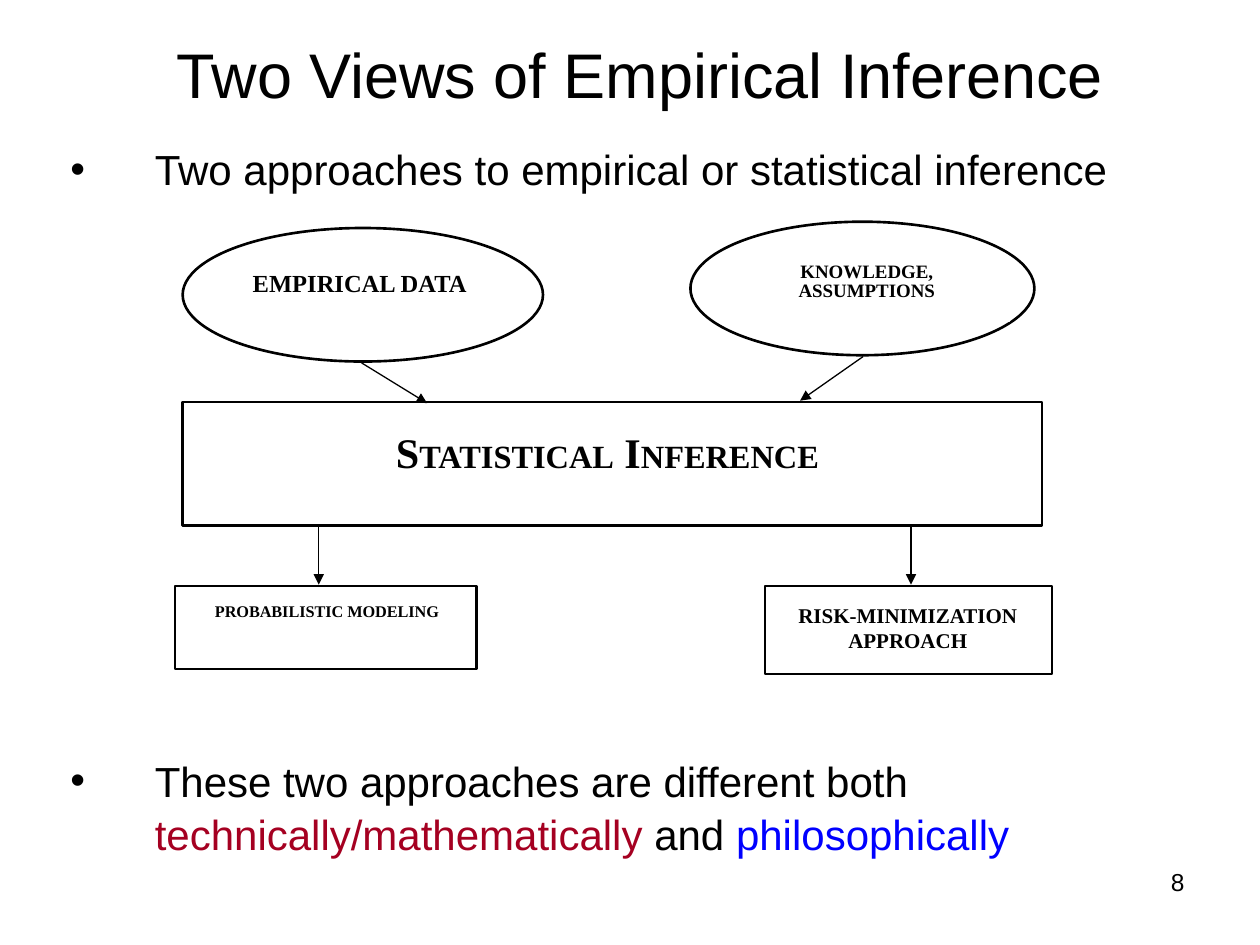
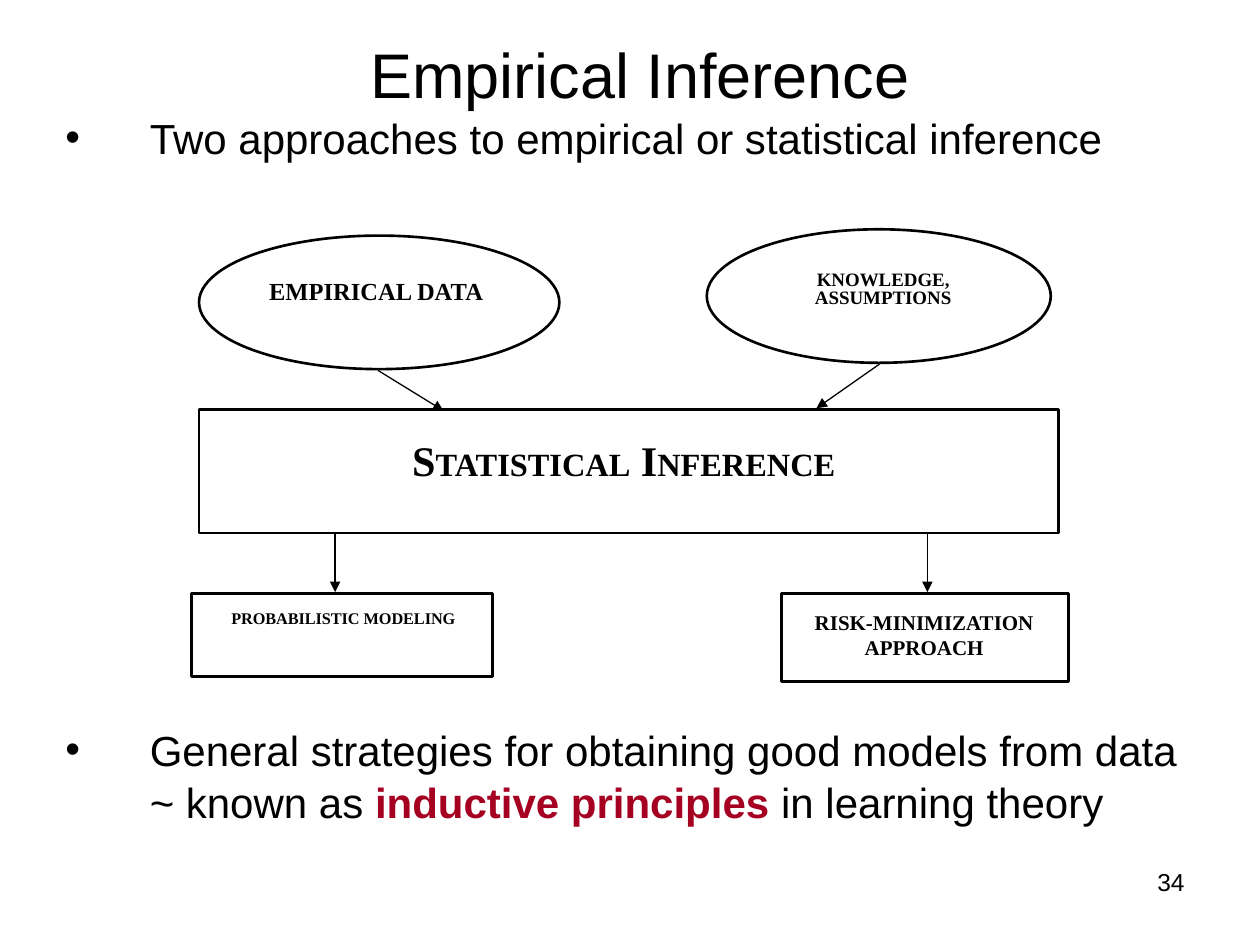
from lxml import etree
from pptx import Presentation
from pptx.dml.color import RGBColor
from pptx.enum.shapes import MSO_CONNECTOR as CONN, MSO_SHAPE as SHAPE
from pptx.enum.text import MSO_ANCHOR as ANCHOR, PP_ALIGN as ALIGN
from pptx.oxml.ns import qn
from pptx.util import Inches, Pt

BLACK, WHITE, RED, BLUE = "000000", "FFFFFF", "A50021", "0000FF"
SANS, SERIF = "Arial", "Times New Roman"
INDENT = 0.67
SECOND_BULLET_GAP = 326.5

NODES = [
    (SHAPE.OVAL, 1.45, 1.81, 2.86, 1.06),
    (SHAPE.OVAL, 5.48, 1.76, 2.73, 1.06),
    (SHAPE.RECTANGLE, 1.45, 3.19, 6.82, 0.98),
    (SHAPE.RECTANGLE, 1.39, 4.65, 2.39, 0.66),
    (SHAPE.RECTANGLE, 6.07, 4.65, 2.28, 0.7),
]
ARROWS = [
    (2.53, 4.17, 2.53, 4.64),
    (7.23, 4.17, 7.23, 4.64),
    (2.87, 2.88, 3.39, 3.2),
    (6.85, 2.83, 6.35, 3.18),
]
LABELS = [
    ((2.03, 3.38, 5.58, 0.52), 0.9,
     [[("S", 24.1), ("TATISTICAL", 18.5), (" I", 24.1), ("NFERENCE", 18.5)]]),
    ((1.83, 2.08, 2.05, 0.5), 1.0, [[("EMPIRICAL DATA", 14)]]),
    ((5.75, 2.05, 2.26, 0.5), 0.8, [[("KNOWLEDGE,", 10.8)], [("ASSUMPTIONS", 10.8)]]),
    ((1.54, 4.75, 2.11, 0.4), 0.8, [[("PROBABILISTIC MODELING", 9.3)]]),
    ((6.14, 4.73, 2.13, 0.53), 1.0, [[("RISK-MINIMIZATION APPROACH", 12)]]),
]


def rgb(value):
    return RGBColor.from_string(value)


def add_run(p, text, size, font=SANS, color=BLACK, bold=False):
    r = p.add_run()
    r.text = text
    r.font.size = Pt(size)
    r.font.name = font
    r.font.bold = bold
    r.font.color.rgb = rgb(color)


def add_textbox(s, x, y, w, h, anchor=ANCHOR.TOP):
    tf = s.shapes.add_textbox(Inches(x), Inches(y), Inches(w), Inches(h)).text_frame
    tf.word_wrap = True
    tf.vertical_anchor = anchor
    return tf


def add_title(s, text):
    p = add_textbox(s, 0.58, 0.25, 9, 0.67, ANCHOR.MIDDLE).paragraphs[0]
    p.alignment = ALIGN.CENTER
    add_run(p, text, 36)


def add_page_number(s, number):
    p = add_textbox(s, 7.17, 6.83, 2.33, 0.52).paragraphs[0]
    p.alignment = ALIGN.RIGHT
    add_run(p, str(number), 14)


def format_body(p, space_before, bullet):
    p.line_spacing = 0.8
    p.space_before = Pt(space_before)
    pPr = p._p.get_or_add_pPr()
    pPr.set("marL", str(Inches(INDENT)))
    pPr.set("indent", str(-Inches(INDENT) if bullet else 0))
    if bullet:
        etree.SubElement(pPr, qn("a:buFont")).set("typeface", SANS)
        etree.SubElement(pPr, qn("a:buChar")).set("char", "•")
    else:
        etree.SubElement(pPr, qn("a:buNone"))


def add_body(s, x, y, closing, continuation):
    tf = add_textbox(s, x, y, 9.25, 5.58)
    rows = [
        (6, True, [("Two approaches to empirical or statistical inference", BLACK, False)]),
        (SECOND_BULLET_GAP, True, [(closing, BLACK, False)]),
        (7, False, continuation),
    ]
    for i, (space_before, bullet, runs) in enumerate(rows):
        p = tf.add_paragraph() if i else tf.paragraphs[0]
        format_body(p, space_before, bullet)
        for text, color, bold in runs:
            add_run(p, text, 24, color=color, bold=bold)


def add_box(s, kind, x, y, w, h, line, width):
    sp = s.shapes.add_shape(kind, Inches(x), Inches(y), Inches(w), Inches(h))
    sp.shadow.inherit = False
    sp.fill.solid()
    sp.fill.fore_color.rgb = rgb(WHITE)
    sp.line.color.rgb = rgb(line)
    sp.line.width = Pt(width)
    return sp


def add_label(s, x, y, w, h, spacing, lines):
    tf = add_box(s, SHAPE.RECTANGLE, x, y, w, h, WHITE, 0.75).text_frame
    tf.word_wrap = True
    tf.vertical_anchor = ANCHOR.TOP
    for i, runs in enumerate(lines):
        p = tf.add_paragraph() if i else tf.paragraphs[0]
        p.alignment = ALIGN.CENTER
        p.line_spacing = spacing
        for text, size in runs:
            add_run(p, text, size, SERIF, bold=True)


def add_arrow(s, x1, y1, x2, y2):
    cn = s.shapes.add_connector(CONN.STRAIGHT, Inches(x1), Inches(y1), Inches(x2), Inches(y2))
    cn.line.color.rgb = rgb(BLACK)
    cn.line.width = Pt(0.75)
    etree.SubElement(cn.line._get_or_add_ln(), qn("a:tailEnd")).set("type", "triangle")
    etree.SubElement(cn._element.spPr, qn("a:effectLst"))


def add_diagram(s, dx, dy):
    for kind, x, y, w, h in NODES:
        add_box(s, kind, x + dx, y + dy, w, h, BLACK, 1.5)
    for x1, y1, x2, y2 in ARROWS:
        add_arrow(s, x1 + dx, y1 + dy, x2 + dx, y2 + dy)
    for (x, y, w, h), spacing, lines in LABELS:
        add_label(s, x + dx, y + dy, w, h, spacing, lines)


def add_inference_slide(prs, number, title, body_at, closing, continuation, shift):
    s = prs.slides.add_slide(prs.slide_layouts[6])
    add_page_number(s, number)
    add_title(s, title)
    add_body(s, *body_at, closing, continuation)
    add_diagram(s, *shift)


def main():
    prs = Presentation()
    prs.slide_width, prs.slide_height = Inches(10), Inches(7.5)
    add_inference_slide(
        prs, 8, "Two Views of Empirical Inference", (0.46, 1.17),
        "These two approaches are different both",
        [("technically/mathematically", RED, False), (" and ", BLACK, False),
         ("philosophically", BLUE, False)],
        (0, 0))
    add_inference_slide(
        prs, 34, "Empirical Inference", (0.42, 0.92),
        "General strategies for obtaining good models from data",
        [("~ known as ", BLACK, False), ("inductive principles", RED, True),
         (" in learning theory", BLACK, False)],
        (0.13, 0.06))
    prs.save("out.pptx")


if __name__ == "__main__":
    main()
